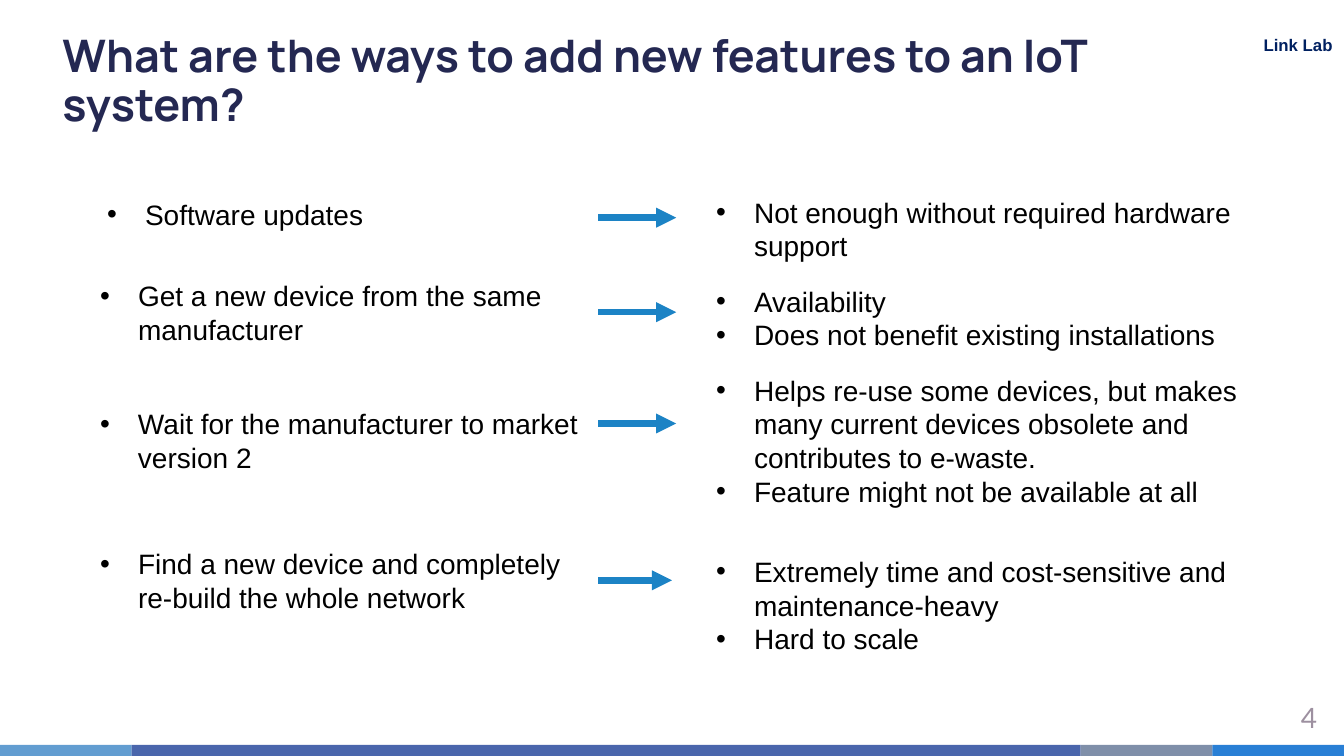
"""Build a slide pairing ways to add IoT features with their drawbacks."""
import pptx
import pptx.util
import pptx.dml.color
import pptx.enum.shapes
import pptx.enum.text
import pptx.oxml
import pptx.oxml.ns

Pt = pptx.util.Pt
RGBColor = pptx.dml.color.RGBColor
ALIGN = pptx.enum.text.PP_ALIGN
ANCHOR = pptx.enum.text.MSO_ANCHOR
SHAPE = pptx.enum.shapes.MSO_SHAPE
STRAIGHT = pptx.enum.shapes.MSO_CONNECTOR.STRAIGHT

BLACK = RGBColor(0x00, 0x00, 0x00)
WHITE = RGBColor(0xFF, 0xFF, 0xFF)
TITLE_NAVY = RGBColor(0x24, 0x28, 0x52)
LABEL_NAVY = RGBColor(0x00, 0x20, 0x60)
NUMBER_GREY = RGBColor(0x9D, 0x90, 0xA0)
ARROW_BLUE = RGBColor(0x1C, 0x83, 0xC5)
SKY = RGBColor(0x62, 0x9D, 0xD1)
INDIGO = RGBColor(0x4A, 0x66, 0xAC)
SLATE = RGBColor(0x7F, 0x8F, 0xA9)
AZURE = RGBColor(0x29, 0x7F, 0xD5)

W, H = 960, 540
TITLE = "What are the ways to add new features to an IoT system?"
LABEL = "Link Lab"
NUMBER = "4"
FOOTER = [(SKY, 94), (INDIGO, 678), (SLATE, 94), (AZURE, 94)]
FOOTER_H = 8

ROWS = [
    {"way": ["Software updates"], "way_box": (69.5, 137.5, 256, 32),
     "result": ["Not enough without required hardware support"],
     "result_box": (136, 444, 56), "arrow": (155.5, 483)},
    {"way": ["Get a new device from the same manufacturer"],
     "way_box": (64.5, 195.5, 359, 56),
     "result": ["Availability", "Does not benefit existing installations"],
     "result_box": (199.5, 399, 56), "arrow": (223, 483)},
    {"way": ["Wait for the manufacturer to market version 2"],
     "way_box": (64.5, 287, 377, 56),
     "result": ["Helps re-use some devices, but makes many current devices "
                "obsolete and contributes to e-waste.",
                "Feature might not be available at all"],
     "result_box": (263, 423, 104), "arrow": (302.5, 483)},
    {"way": ["Find a new device and completely re-build the whole network"],
     "way_box": (64.5, 387, 359, 56),
     "result": ["Extremely time and cost-sensitive and maintenance-heavy",
                "Hard to scale"],
     "result_box": (392.5, 475, 80), "arrow": (414.5, 480)},
]
RESULT_X, ARROW_X, INDENT = 504.5, 427.5, 27

BODY_FONT = {"name": "Arial", "size": Pt(20), "bold": False}
TITLE_FONT = {"name": "Manrope", "size": Pt(32), "bold": True}
LABEL_FONT = {"name": "Arial", "size": Pt(12), "bold": True}
NUMBER_FONT = {"name": "Lato", "size": Pt(20), "bold": False}


def add_xml(parent, tag, **attrs):
    el = pptx.oxml.parse_xml(f"<a:{tag} {pptx.oxml.ns.nsdecls('a')}/>")
    for name, value in attrs.items():
        el.set(name, value)
    parent.append(el)


def add_text(s, box, lines, font, color, inset=(7.2, 3.6), bullets=False,
             **paragraph):
    sp = s.shapes.add_textbox(*map(Pt, box))
    tf = sp.text_frame
    x, y = map(Pt, inset)
    frame = {"word_wrap": True, "margin_left": x, "margin_right": x,
             "margin_top": y, "margin_bottom": y,
             "vertical_anchor": ANCHOR.TOP}
    for name, value in frame.items():
        setattr(tf, name, value)
    for i, line in enumerate(lines):
        p = tf.add_paragraph() if i else tf.paragraphs[0]
        for name, value in paragraph.items():
            setattr(p, name, value)
        if bullets:
            pPr = p._p.get_or_add_pPr()
            pPr.set("marL", str(Pt(INDENT)))
            pPr.set("indent", str(-Pt(INDENT)))
            add_xml(pPr, "buFont", typeface="Arial")
            add_xml(pPr, "buChar", char="•")
        r = p.add_run()
        r.text = line
        for name, value in font.items():
            setattr(r.font, name, value)
        r.font.color.rgb = color
    return sp


def add_arrow(s, y, end):
    sp = s.shapes.add_connector(STRAIGHT, Pt(ARROW_X), Pt(y), Pt(end), Pt(y))
    sp.line.color.rgb = ARROW_BLUE
    sp.line.width = Pt(4.75)
    add_xml(sp.line._get_or_add_ln(), "tailEnd", type="triangle")
    add_xml(sp._element.spPr, "effectLst")


def add_footer(s):
    x = 0
    for color, width in FOOTER:
        sp = s.shapes.add_shape(SHAPE.RECTANGLE, Pt(x), Pt(H - FOOTER_H),
                                Pt(width), Pt(FOOTER_H))
        sp.shadow.inherit = False
        sp.fill.solid()
        sp.fill.fore_color.rgb = color
        sp.line.fill.background()
        x += width


def main():
    prs = pptx.Presentation()
    prs.slide_width, prs.slide_height = Pt(W), Pt(H)
    s = prs.slides.add_slide(prs.slide_layouts[6])
    add_footer(s)
    add_text(s, (890.5, 493, 57.5, 33), [NUMBER], NUMBER_FONT, NUMBER_GREY,
             (7.2, 7.2), alignment=ALIGN.RIGHT)
    sp = add_text(s, (895.5, 21, 64.5, 20), [LABEL], LABEL_FONT, LABEL_NAVY)
    sp.text_frame.word_wrap = False
    sp.fill.solid()
    sp.fill.fore_color.rgb = WHITE
    add_text(s, (37.5, 17, 852.5, 68), [TITLE], TITLE_FONT, TITLE_NAVY,
             (7.2, 7.2), line_spacing=0.9)
    for row in ROWS:
        top, width, height = row["result_box"]
        add_text(s, row["way_box"], row["way"], BODY_FONT, BLACK, bullets=True)
        add_text(s, (RESULT_X, top, width, height), row["result"], BODY_FONT,
                 BLACK, bullets=True)
        add_arrow(s, *row["arrow"])
    prs.save("out.pptx")


if __name__ == "__main__":
    main()
